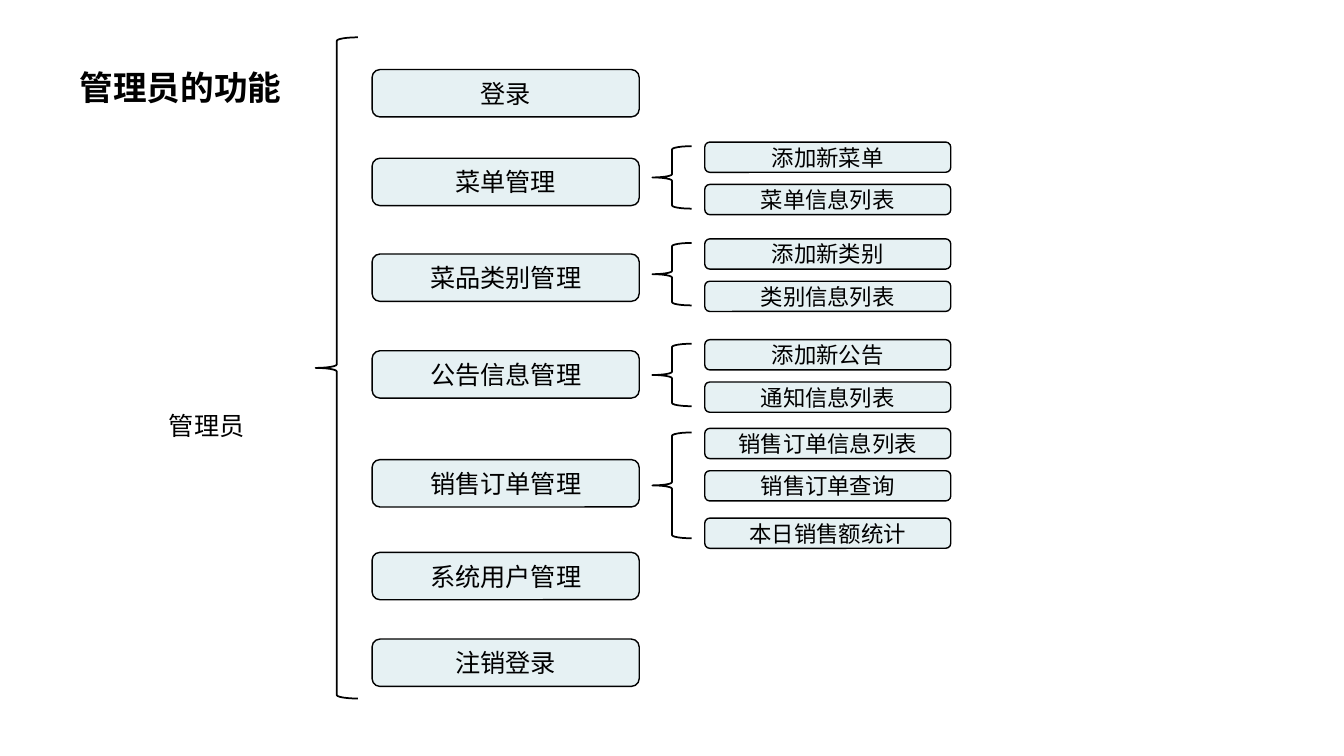
from dataclasses import dataclass

from pptx import Presentation
from pptx.dml.color import RGBColor
from pptx.enum.shapes import MSO_SHAPE as Preset
from pptx.enum.text import MSO_ANCHOR as Anchor, MSO_AUTO_SIZE as AutoSize, PP_ALIGN as Align
from pptx.shapes.autoshape import Shape
from pptx.slide import Slide
from pptx.text.text import TextFrame
from pptx.util import Inches, Pt

BLACK = RGBColor(0x00, 0x00, 0x00)
PALE_TEAL = RGBColor(0xE6, 0xF1, 0xF3)
FONT = "Times New Roman"

MODULE_LEFT, MODULE_WIDTH, MODULE_HEIGHT = 3.69, 2.65, 0.47
FEATURE_LEFT, FEATURE_WIDTH, FEATURE_HEIGHT = 6.99, 2.44, 0.3
BRACE_LEFT, BRACE_WIDTH, BRACE_INSET = 6.47, 0.39, 0.04


@dataclass(frozen=True)
class Feature:
    name: str
    top: float


@dataclass(frozen=True)
class Module:
    name: str
    top: float
    features: tuple[Feature, ...] = ()
    brace_height: float = 0.62


MODULES = (
    Module("登录", 0.69),
    Module("菜单管理", 1.57, (Feature("添加新菜单", 1.41), Feature("菜单信息列表", 1.83))),
    Module("菜品类别管理", 2.52, (Feature("添加新类别", 2.37), Feature("类别信息列表", 2.79))),
    Module("公告信息管理", 3.48, (Feature("添加新公告", 3.37), Feature("通知信息列表", 3.79))),
    Module(
        "销售订单管理",
        4.56,
        (Feature("销售订单信息列表", 4.25), Feature("销售订单查询", 4.67), Feature("本日销售额统计", 5.14)),
        brace_height=1.05,
    ),
    Module("系统用户管理", 5.48),
    Module("注销登录", 6.34),
)


def write_text(frame: TextFrame, text: str, *, size: int, bold: bool = False,
               anchor: Anchor = Anchor.TOP) -> None:
    frame.word_wrap = True
    frame.vertical_anchor = anchor
    paragraph = frame.paragraphs[0]
    paragraph.alignment = Align.CENTER
    run = paragraph.add_run()
    run.text = text
    run.font.name = FONT
    run.font.size = Pt(size)
    run.font.bold = bold
    run.font.color.rgb = BLACK


def add_outlined(slide: Slide, preset: Preset, left: float, top: float,
                 width: float, height: float, line_width: float) -> Shape:
    shape = slide.shapes.add_shape(preset, Inches(left), Inches(top), Inches(width), Inches(height))
    shape.shadow.inherit = False
    shape.line.color.rgb = BLACK
    shape.line.width = Pt(line_width)
    return shape


def add_box(slide: Slide, text: str, left: float, top: float,
            width: float, height: float, size: int) -> None:
    box = add_outlined(slide, Preset.ROUNDED_RECTANGLE, left, top, width, height, 1)
    box.fill.solid()
    box.fill.fore_color.rgb = PALE_TEAL
    write_text(box.text_frame, text, size=size, anchor=Anchor.MIDDLE)


def add_brace(slide: Slide, left: float, top: float, width: float, height: float) -> None:
    brace = add_outlined(slide, Preset.RIGHT_BRACE, left, top, width, height, 1.25)
    brace.fill.background()
    brace.rotation = 180


def add_label(slide: Slide, text: str, left: float, top: float,
              width: float, height: float, size: int, bold: bool = False) -> None:
    label = slide.shapes.add_textbox(Inches(left), Inches(top), Inches(width), Inches(height))
    write_text(label.text_frame, text, size=size, bold=bold)
    label.text_frame.auto_size = AutoSize.SHAPE_TO_FIT_TEXT


def add_module(slide: Slide, module: Module) -> None:
    add_box(slide, module.name, MODULE_LEFT, module.top, MODULE_WIDTH, MODULE_HEIGHT, 18)
    if module.features:
        brace_top = module.features[0].top + BRACE_INSET
        add_brace(slide, BRACE_LEFT, brace_top, BRACE_WIDTH, module.brace_height)
    for feature in module.features:
        add_box(slide, feature.name, FEATURE_LEFT, feature.top, FEATURE_WIDTH, FEATURE_HEIGHT, 16)


def main() -> None:
    presentation = Presentation()
    presentation.slide_width = Inches(13.33)
    presentation.slide_height = Inches(7.5)
    slide = presentation.slides.add_slide(presentation.slide_layouts[6])

    add_label(slide, "管理员的功能", 0.68, 0.61, 2.22, 0.5, 24, bold=True)
    add_label(slide, "管理员", 0.94, 4.02, 2.22, 0.4, 18)
    add_brace(slide, 3.13, 0.37, 0.42, 6.56)
    for module in MODULES:
        add_module(slide, module)

    presentation.save("out.pptx")


if __name__ == "__main__":
    main()
